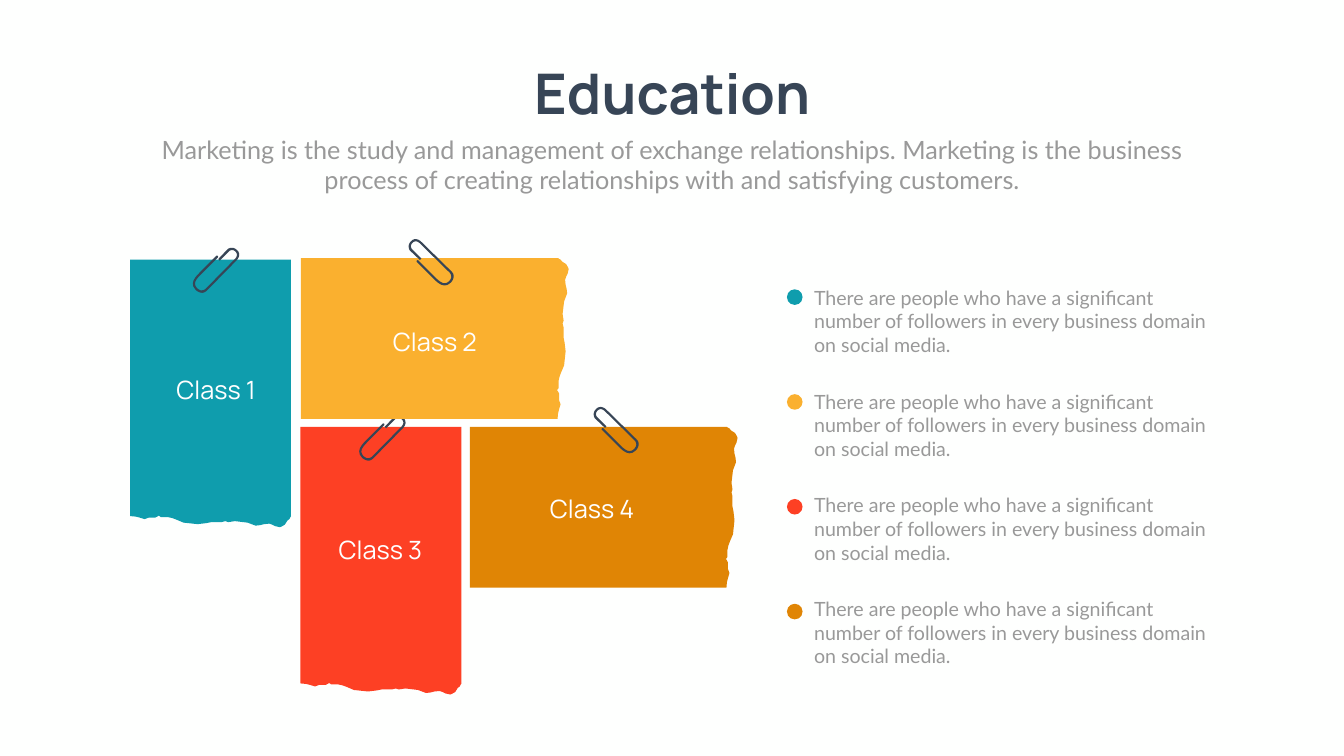
from pptx import Presentation
from pptx.dml.color import RGBColor
from pptx.enum.shapes import MSO_SHAPE
from pptx.enum.text import PP_ALIGN
from pptx.util import Inches, Pt

BACKGROUND = RGBColor(0xFE, 0xFF, 0xFE)
WHITE = RGBColor(0xFF, 0xFF, 0xFF)
NAVY = RGBColor(0x37, 0x45, 0x56)
GRAY = RGBColor(0x99, 0x99, 0x99)
TEAL = RGBColor(0x0F, 0x9D, 0xAD)
YELLOW = RGBColor(0xFA, 0xB0, 0x2F)
RED = RGBColor(0xFD, 0x40, 0x24)
ORANGE = RGBColor(0xE0, 0x85, 0x05)

SUBTITLE = (
    "Marketing is the study and management of exchange relationships. "
    "Marketing is the business process of creating relationships with "
    "and satisfying customers."
)
DESCRIPTION = (
    "There are people who have a significant number of followers "
    "in every business domain on social media."
)

CARD_SIDE = 3.19
# Distance along the torn edge, distance from the opposite straight edge
TORN_EDGE = [
    (0, 5.1), (0.01, 5.11), (0.03, 5.15), (0.07, 5.18), (0.12, 5.26),
    (0.19, 5.3), (0.22, 5.31), (0.31, 5.29), (0.37, 5.26), (0.43, 5.24),
    (0.53, 5.25), (0.61, 5.27), (0.7, 5.28), (0.86, 5.22), (1.11, 5.19),
    (1.24, 5.21), (1.3, 5.19), (1.38, 5.21), (1.58, 5.21), (1.68, 5.23),
    (1.85, 5.25), (2.13, 5.22), (2.27, 5.16), (2.35, 5.13), (2.44, 5.11),
    (2.58, 5.11), (2.62, 5.08), (2.65, 5.1), (2.69, 5.12), (2.82, 5.12),
    (2.9, 5.15), (3.0, 5.12), (3.08, 5.1), (CARD_SIDE, 5.09),
]

CLIP_HEIGHT = 0.92
CLIP_START = (0.29, 0.84)
# Each step is a line to one point, or a curve through two controls to a point
CLIP_STEPS = [
    [(0.85, 0.27)],
    [(0.94, 0.19), (0.95, 0.1), (0.88, 0.04)],
    [(0.81, -0.03), (0.73, 0), (0.7, 0.02)],
    [(0.51, 0.22)],
    [(0.54, 0.25)],
    [(0.73, 0.06)],
    [(0.74, 0.05), (0.8, 0.02), (0.85, 0.07)],
    [(0.9, 0.12), (0.89, 0.18), (0.82, 0.24)],
    [(0.26, 0.81)],
    [(0.24, 0.83), (0.21, 0.84), (0.19, 0.84)],
    [(0.16, 0.85), (0.13, 0.83), (0.09, 0.8)],
    [(0.01, 0.71), (0.05, 0.64), (0.17, 0.52)],
    [(0.5, 0.19)],
    [(0.51, 0.18), (0.51, 0.17), (0.5, 0.16)],
    [(0.49, 0.15), (0.47, 0.15), (0.47, 0.16)],
    [(0.14, 0.49)],
    [(0.06, 0.57), (-0.07, 0.7), (0.06, 0.83)],
    [(0.1, 0.87), (0.15, 0.89), (0.19, 0.89)],
    [(0.23, 0.89), (0.26, 0.87), CLIP_START],
]


def curve_points(start, first, second, end, count=6):
    """Points along a cubic Bézier curve, without its start."""
    points = []
    for index in range(1, count + 1):
        t = index / count
        weights = ((1 - t) ** 3, 3 * t * (1 - t) ** 2, 3 * t * t * (1 - t), t ** 3)
        points.append(tuple(
            sum(weight * value for weight, value in zip(weights, values))
            for values in zip(start, first, second, end)
        ))
    return points


def clip_outline():
    points = [CLIP_START]
    for step in CLIP_STEPS:
        points += step if len(step) == 1 else curve_points(points[-1], *step)
    return points


def paint(shape, color):
    shape.fill.solid()
    shape.fill.fore_color.rgb = color
    shape.line.fill.background()
    shape.shadow.inherit = False


def add_outline(slide, left, top, points, color):
    corners = [(Inches(left + x), Inches(top + y)) for x, y in points]
    builder = slide.shapes.build_freeform(*corners[0])
    builder.add_line_segments(corners[1:], close=True)
    paint(builder.convert_to_shape(), color)


def add_card(slide, left, top, color, upright):
    """Paper torn at the bottom if upright, otherwise at the right."""
    points = [(0, 0), *TORN_EDGE, (CARD_SIDE, 0)]
    if upright:
        points = [(CARD_SIDE - along, depth) for along, depth in points]
    else:
        points = [(depth, along) for along, depth in points]
    add_outline(slide, left, top, points, color)


def add_clip(slide, left, top, turned):
    points = clip_outline()
    if turned:
        points = [(y, CLIP_HEIGHT - x) for x, y in points]
    add_outline(slide, left, top, points, NAVY)


def add_text(slide, left, top, width, height, text, size, font, color,
             align=PP_ALIGN.CENTER, bold=False):
    box = slide.shapes.add_textbox(
        Inches(left), Inches(top), Inches(width), Inches(height))
    box.text_frame.word_wrap = True
    paragraph = box.text_frame.paragraphs[0]
    paragraph.text = text
    paragraph.alignment = align
    paragraph.font.size = Pt(size)
    paragraph.font.name = font
    paragraph.font.bold = bold
    paragraph.font.color.rgb = color


def add_legend(slide):
    for index, color in enumerate((TEAL, YELLOW, RED, ORANGE)):
        add_text(slide, 16.05, 5.62 + 2.06 * index, 8.12, 1.51,
                 DESCRIPTION, 28, "Lato", GRAY, PP_ALIGN.LEFT)
        dot = slide.shapes.add_shape(
            MSO_SHAPE.OVAL, Inches(15.61), Inches(5.74 + 2.08 * index),
            Inches(0.31), Inches(0.31))
        paint(dot, color)


def main():
    presentation = Presentation()
    presentation.slide_width = Inches(26.66)
    presentation.slide_height = Inches(15)
    slide = presentation.slides.add_slide(presentation.slide_layouts[6])
    slide.background.fill.solid()
    slide.background.fill.fore_color.rgb = BACKGROUND

    add_text(slide, 10.32, 1.12, 6.03, 1.45, "Education", 80, "Manrope",
             NAVY, bold=True)
    add_text(slide, 2.92, 2.61, 20.82, 1.31, SUBTITLE, 36, "Lato", GRAY)

    add_card(slide, 2.58, 5.15, TEAL, upright=True)
    add_card(slide, 5.96, 8.47, RED, upright=True)
    add_card(slide, 9.32, 8.47, ORANGE, upright=False)
    add_clip(slide, 3.82, 4.92, turned=False)
    add_clip(slide, 7.12, 8.25, turned=False)
    add_clip(slide, 11.78, 8.08, turned=True)
    # The second card covers the tip of the clip below it
    add_card(slide, 5.97, 5.12, YELLOW, upright=False)
    add_clip(slide, 8.11, 4.75, turned=True)

    label_places = [(2.49, 7.37), (6.83, 6.43), (5.75, 10.56), (9.95, 9.73)]
    for number, (left, top) in enumerate(label_places, start=1):
        add_text(slide, left, top, 3.59, 0.71, f"Class {number}", 36,
                 "Manrope", WHITE)
    add_legend(slide)

    presentation.save("out.pptx")


if __name__ == "__main__":
    main()
